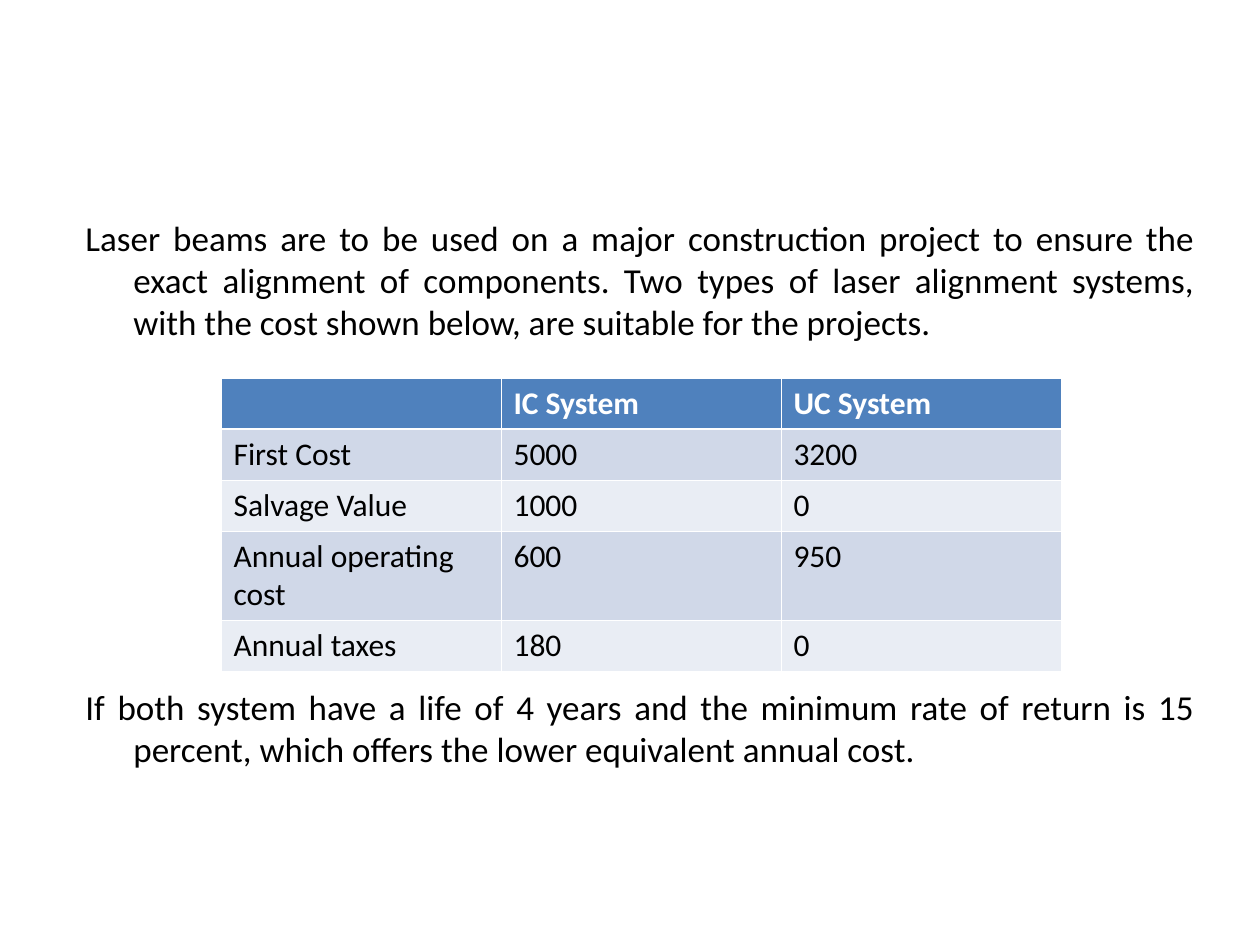
"""Build a slide comparing the costs of two laser alignment systems."""
from pptx import Presentation
from pptx.dml.color import RGBColor
from pptx.enum.text import PP_ALIGN
from pptx.oxml import parse_xml
from pptx.oxml.ns import nsdecls
from pptx.util import Pt

PIXEL = 914400 // 126
INDENT = 48 * PIXEL
COLUMN_WIDTH = 280
ROW_HEIGHTS = [51, 51, 51, 89, 51]
HEADER_FILL, BAND_FILLS = "4F81BD", ["E9EDF4", "D0D8E8"]
COSTS = [
    ["", "IC System", "UC System"],
    ["First Cost", "5000", "3200"],
    ["Salvage Value", "1000", "0"],
    ["Annual operating cost", "600", "950"],
    ["Annual taxes", "180", "0"],
]
PROBLEM = [
    ("Laser beams are to be used on a major construction project to ensure the "
     "exact alignment of components. Two types of laser alignment systems, "
     "with the cost shown below, are suitable for the projects.", 5),
    ("If both system have a life of 4 years and the minimum rate of return is 15 "
     "percent, which offers the lower equivalent annual cost.", 196),
]


def color(value):
    return RGBColor.from_string(value)


def format_font(font, size, value, bold=False):
    font.name, font.size, font.bold = "Calibri", Pt(size), bold
    font.color.rgb = color(value)


presentation = Presentation()
presentation.slide_width, presentation.slide_height = 1260 * PIXEL, 945 * PIXEL
slide = presentation.slides.add_slide(presentation.slide_layouts[6])

problem_box = slide.shapes.add_textbox(73 * PIXEL, 210 * PIXEL, 1134 * PIXEL, 624 * PIXEL)
text_frame = problem_box.text_frame
text_frame.word_wrap = True
text_frame.text = "\n".join(text for text, _ in PROBLEM)
for paragraph, (_, space_before) in zip(text_frame.paragraphs, PROBLEM):
    paragraph.alignment = PP_ALIGN.JUSTIFY
    paragraph.space_before = Pt(space_before)
    properties = paragraph._p.get_or_add_pPr()
    properties.set("marL", str(INDENT))
    properties.set("indent", str(-INDENT))
    format_font(paragraph.runs[0].font, 20, "000000")

table = slide.shapes.add_table(
    len(COSTS), len(COSTS[0]), 221 * PIXEL, 378 * PIXEL,
    len(COSTS[0]) * COLUMN_WIDTH * PIXEL, sum(ROW_HEIGHTS) * PIXEL).table
for column in table.columns:
    column.width = COLUMN_WIDTH * PIXEL
for row_index, (row, height, values) in enumerate(zip(table.rows, ROW_HEIGHTS, COSTS)):
    row.height = height * PIXEL
    is_header = row_index == 0
    edge_widths = {"lnL": 0.45, "lnR": 0.45,
                   "lnT": 1.47 if row_index == 1 else 0.45,
                   "lnB": 1.47 if is_header else 0.45}
    for cell, value in zip(row.cells, values):
        cell.text = value
        paragraph = cell.text_frame.paragraphs[0]
        format_font(paragraph.font, 18, "FFFFFF" if is_header else "000000", is_header)
        for run in paragraph.runs:
            format_font(run.font, 18, "FFFFFF" if is_header else "000000", is_header)
        cell_properties = cell._tc.get_or_add_tcPr()
        for edge, width in edge_widths.items():
            cell_properties.append(parse_xml(
                f'<a:{edge} {nsdecls("a")} w="{Pt(width)}"><a:solidFill>'
                f'<a:srgbClr val="FFFFFF"/></a:solidFill></a:{edge}>'))
        cell.fill.solid()
        cell.fill.fore_color.rgb = color(HEADER_FILL if is_header else BAND_FILLS[row_index % 2])

presentation.save("out.pptx")
